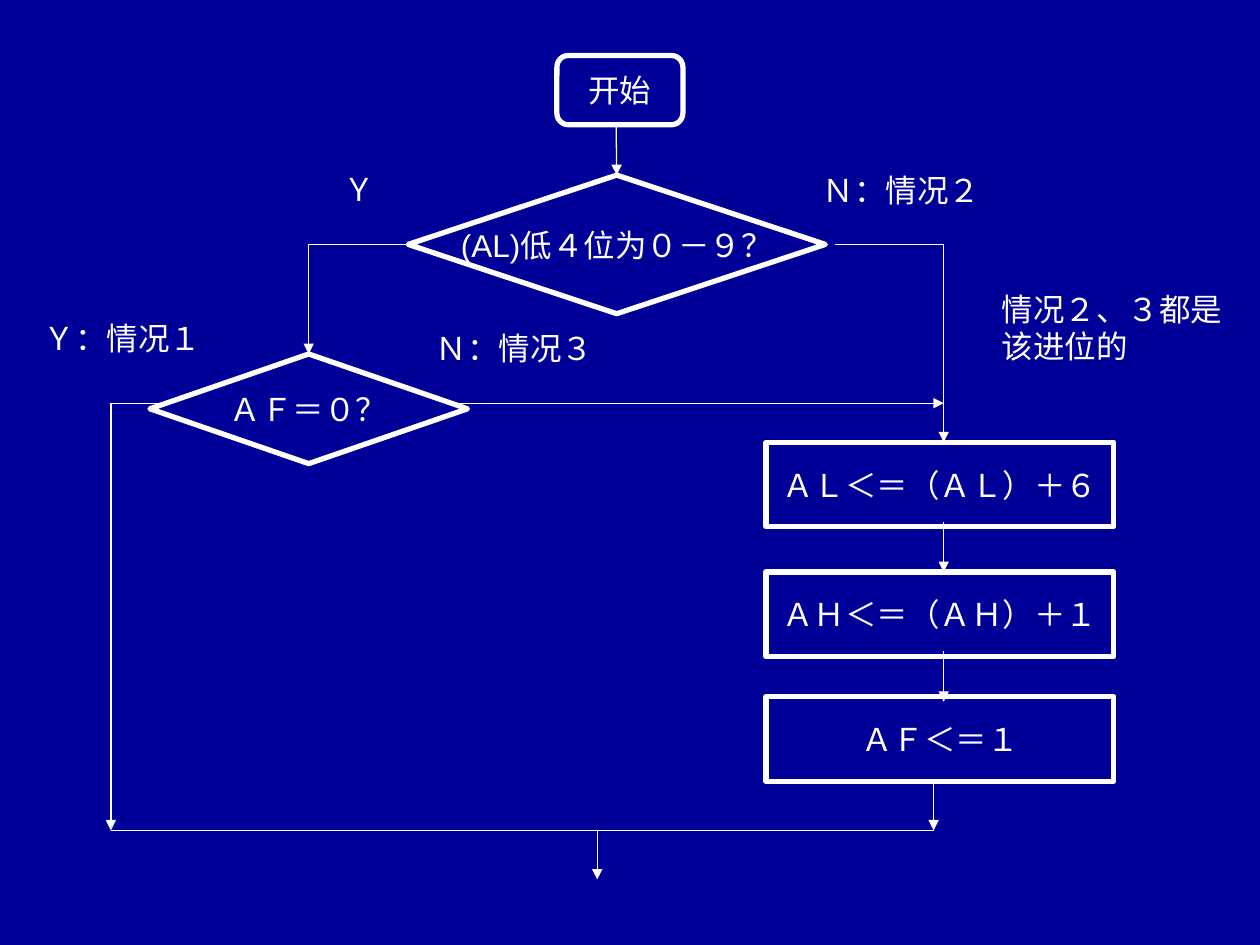
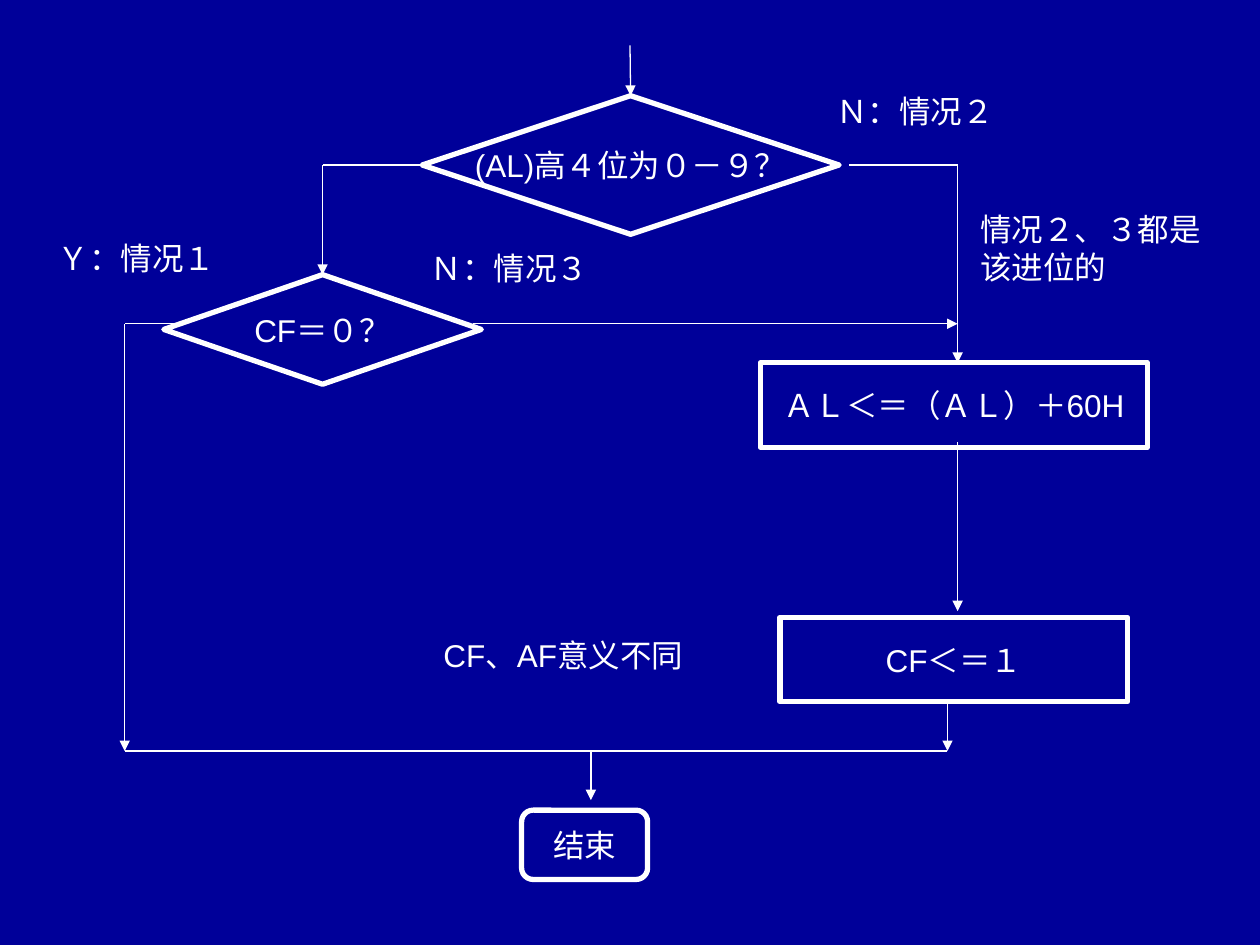
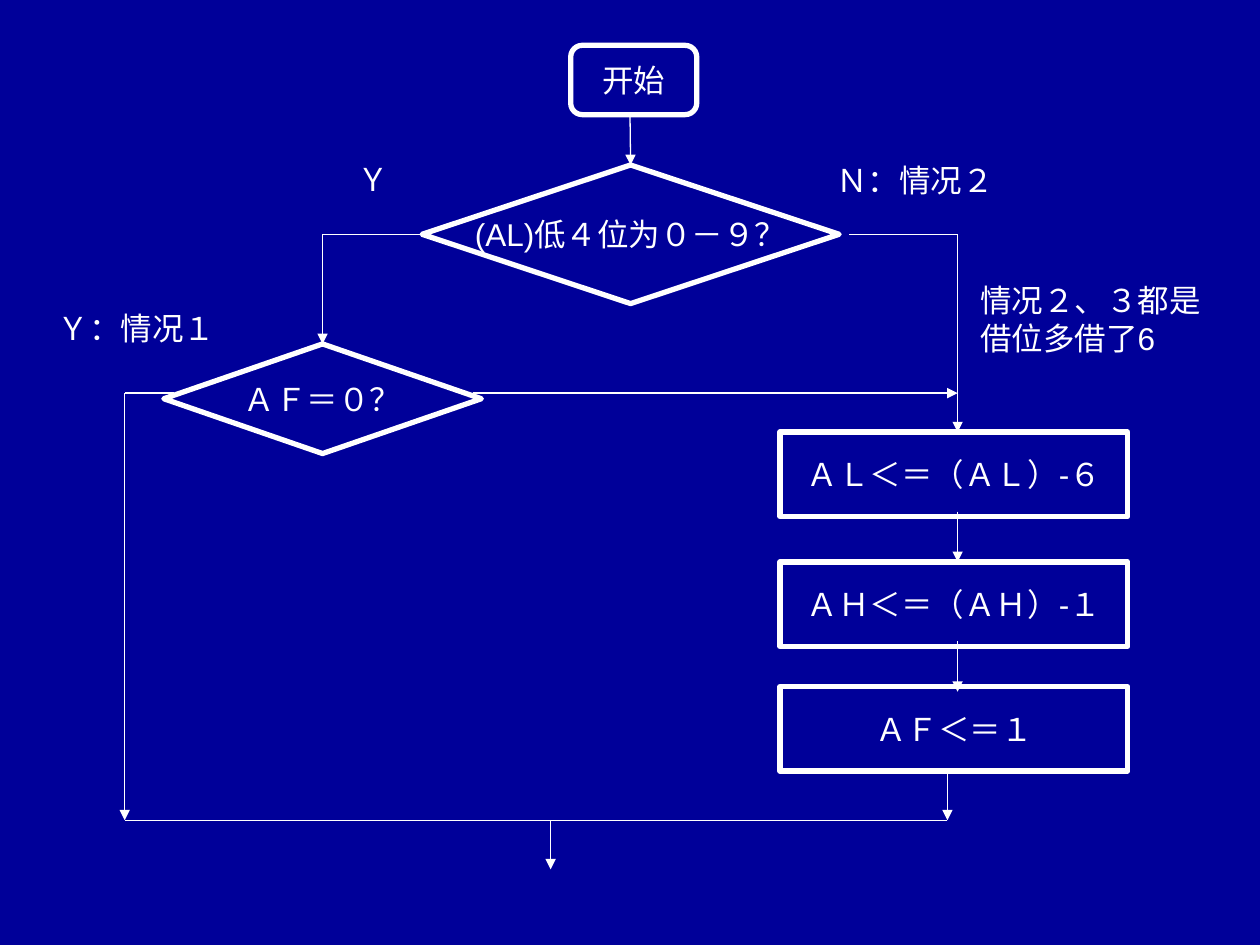
"""Build three flowcharts of decimal adjustment."""
from lxml import etree
from pptx import Presentation
from pptx.dml.color import RGBColor
from pptx.enum.shapes import MSO_CONNECTOR, MSO_SHAPE
from pptx.enum.text import MSO_ANCHOR, MSO_AUTO_SIZE, PP_ALIGN
from pptx.oxml.ns import qn
from pptx.util import Inches, Pt

ROUND = MSO_SHAPE.FLOWCHART_ALTERNATE_PROCESS
TEST = MSO_SHAPE.FLOWCHART_DECISION
STEP = MSO_SHAPE.FLOWCHART_PROCESS
STRAIGHT = MSO_CONNECTOR.STRAIGHT
CENTER = PP_ALIGN.CENTER
LEFT = PP_ALIGN.LEFT
MIDDLE = MSO_ANCHOR.MIDDLE
FIT = MSO_AUTO_SIZE.SHAPE_TO_FIT_TEXT

NAVY, WHITE, FONT = "000099", "FFFFFF", "Arial"

CASE1 = ("Ｙ：情况１", -2.99, 1.09, 1.45)
CASE2 = ("Ｎ：情况２", 3.19, -0.08, 1.45)
YES = ("Ｙ", -0.61, -0.09, 0.45)

CHARTS = [
    {
        "origin": (3.24, 1.39),
        "tests": ("(AL)低４位为０－９？", "ＡＦ＝０？"),
        "ends": [("开始", 1.18, -0.95)],
        "steps": [("ＡＬ＜＝（ＡＬ）＋６", 2.12, 2.76),
                  ("ＡＨ＜＝（ＡＨ）＋１", 3.15, 2.76),
                  ("ＡＦ＜＝１", 4.14, 2.76)],
        "drop": 0.4,
        "exit": 1.5,
        "labels": [CASE1, YES, CASE2, ("Ｎ：情况３", 0.12, 1.17, 1.45),
                   ("情况２、３都是\n该进位的", 4.61, 0.86, 1.95)],
    },
    {
        "origin": (3.35, 0.76),
        "tests": ("(AL)高４位为０－９？", "CF＝０？"),
        "ends": [("结束", 0.79, 5.67)],
        "steps": [("ＡＬ＜＝（ＡＬ）＋60H", 2.12, 3.07),
                  ("CF＜＝１", 4.14, 2.76)],
        "drop": 1.34,
        "exit": 1.34,
        "labels": [CASE1, CASE2, ("Ｎ：情况３", -0.03, 1.17, 1.45),
                   ("情况２、３都是\n该进位的", 4.33, 0.86, 1.95),
                   ("CF、AF意义不同", 0.07, 4.24, 2.28)],
    },
    {
        "origin": (3.35, 1.31),
        "tests": ("(AL)低４位为０－９？", "ＡＦ＝０？"),
        "ends": [("开始", 1.18, -0.95)],
        "steps": [("ＡＬ＜＝（ＡＬ）-６", 2.12, 2.76),
                  ("ＡＨ＜＝（ＡＨ）-１", 3.15, 2.76),
                  ("ＡＦ＜＝１", 4.14, 2.76)],
        "drop": 0.4,
        "exit": 1.02,
        "labels": [CASE1, YES, CASE2,
                   ("情况２、３都是\n借位多借了6", 4.33, 0.87, 1.95)],
    },
]


def color(code):
    return RGBColor.from_string(code)


def write(shape, text, align):
    frame = shape.text_frame
    frame.word_wrap = False
    for i, line in enumerate(text.split("\n")):
        para = frame.add_paragraph() if i else frame.paragraphs[0]
        para.alignment = align
        run = para.add_run()
        run.text = line
        run.font.size = Pt(18)
        run.font.name = FONT
        run.font.color.rgb = color(WHITE)


def draw(slide, data):
    x0, y0 = data["origin"]

    def place(x, y):
        return Inches(x0 + x), Inches(y0 + y)

    def box(kind, text, x, y, w, h):
        shape = slide.shapes.add_shape(kind, *place(x, y), Inches(w), Inches(h))
        shape.shadow.inherit = False
        shape.fill.background()
        shape.line.color.rgb = color(WHITE)
        shape.line.width = Pt(3)
        shape.text_frame.vertical_anchor = MIDDLE
        write(shape, text, CENTER)
        return shape

    def link(start, end, arrow=True):
        line = slide.shapes.add_connector(STRAIGHT, *place(*start), *place(*end))
        line.line.color.rgb = color(WHITE)
        line.line.width = Pt(0.75)
        if arrow:
            tail = etree.SubElement(line.line._get_or_add_ln(), qn("a:tailEnd"))
            tail.set("type", "triangle")
        etree.SubElement(line._element.spPr, qn("a:effectLst"))
        return line

    def path(*points):
        """Join points by lines, with an arrow on the last one."""
        pairs = list(zip(points, points[1:]))
        return [link(a, b, i == len(pairs)) for i, (a, b) in enumerate(pairs, 1)]

    for text, x, y in data["ends"]:
        box(ROUND, text, x, y, 1, 0.55)
    main = box(TEST, data["tests"][0], 0, 0, 3.31, 1.1)
    flag = box(TEST, data["tests"][1], -2.05, 1.42, 2.52, 0.87)
    for text, y, w in data["steps"]:
        box(STEP, text, 4.22 - w / 2, y, w, 0.67)

    link((1.65, -0.4), (1.65, 0)).end_connect(main, 0)
    side, down = path((0, 0.55), (-0.79, 0.55), (-0.79, 1.42))
    side.begin_connect(main, 1)
    down.end_connect(flag, 0)
    path((3.39, 0.55), (4.25, 0.55), (4.25, 2.12))
    link((0.4, 1.81), (4.25, 1.81))
    path((-1.97, 1.81), (-2.36, 1.81), (-2.36, 5.2))
    for _, y, _ in data["steps"][:-1]:
        link((4.25, y + 0.63), (4.25, y + 0.63 + data["drop"]))
    link((4.17, 4.8), (4.17, 5.2))
    link((4.17, 5.2), (-2.36, 5.2), False)
    link((data["exit"], 5.2), (data["exit"], 5.59))

    for text, x, y, w in data["labels"]:
        high = 0.4 + 0.3 * text.count("\n")
        note = slide.shapes.add_textbox(*place(x, y), Inches(w), Inches(high))
        note.text_frame.auto_size = FIT
        write(note, text, LEFT)


def main():
    deck = Presentation()
    deck.slide_width, deck.slide_height = Inches(10), Inches(7.5)
    fill = deck.slide_master.background.fill
    fill.solid()
    fill.fore_color.rgb = color(NAVY)
    for data in CHARTS:
        draw(deck.slides.add_slide(deck.slide_layouts[6]), data)
    deck.save("out.pptx")


if __name__ == "__main__":
    main()
